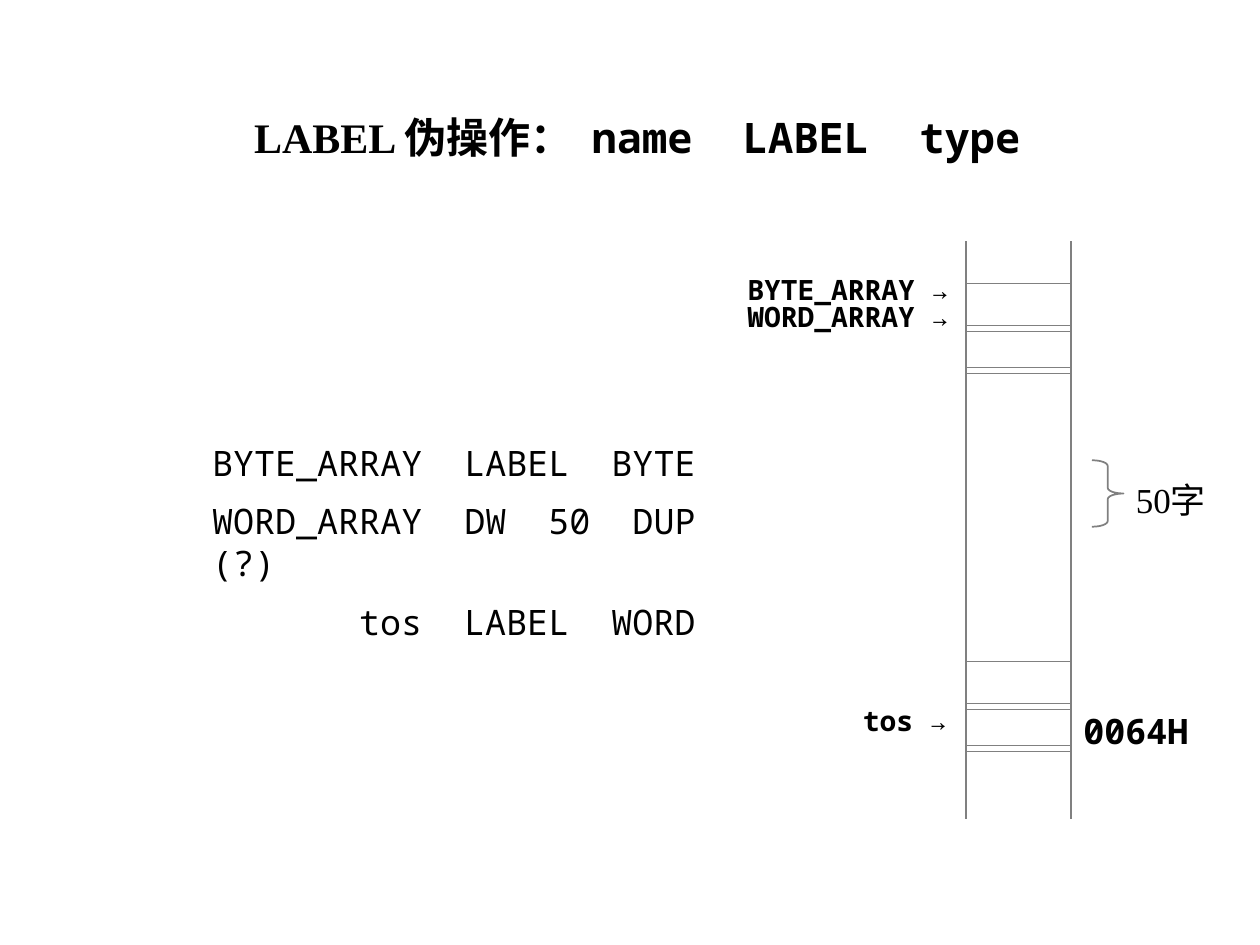
"""Build the slide on the LABEL pseudo-operation and its memory layout."""
from dataclasses import dataclass

from lxml import etree
from pptx import Presentation
from pptx.dml.color import RGBColor
from pptx.enum.shapes import MSO_CONNECTOR, MSO_SHAPE
from pptx.enum.text import MSO_ANCHOR, MSO_AUTO_SIZE, PP_ALIGN
from pptx.oxml.ns import qn
from pptx.util import Pt

BLACK = RGBColor(0x00, 0x00, 0x00)
GRAY = RGBColor(0x80, 0x80, 0x80)
MONO = "Noto Sans Mono"
SERIF = "Times New Roman"
LEFT = PP_ALIGN.LEFT
TOP, MIDDLE = MSO_ANCHOR.TOP, MSO_ANCHOR.MIDDLE
NO_AUTOFIT = MSO_AUTO_SIZE.NONE
RECTANGLE, RIGHT_BRACE = MSO_SHAPE.RECTANGLE, MSO_SHAPE.RIGHT_BRACE
STRAIGHT = MSO_CONNECTOR.STRAIGHT

COLUMN_LEFT, COLUMN_WIDTH = 552, 60
CELL_TOPS = (162, 186, 378, 402)
CELL_HEIGHTS = (24, 27.5)
SIDE_SPANS = ((138, 168), (186, 468))


@dataclass
class Label:
    lines: tuple[str, ...]
    box: tuple[float, float, float, float]
    size: float
    font: str = MONO
    bold: bool = True
    line_spacing: float = 1.0


LABELS = (
    Label(("BYTE_ARRAY →", "WORD_ARRAY →"), (420, 156, 144, 38), 16, line_spacing=0.8),
    Label(("tos →",), (486, 402, 72, 22), 16, line_spacing=0.8),
    Label(("50字",), (642, 270, 66, 31), 20, SERIF, False),
    Label(("0064H",), (612, 402, 78, 31), 20),
)


def place(shape, box) -> None:
    """Move and size a shape, in points."""
    shape.left, shape.top, shape.width, shape.height = map(Pt, box)


def prepare_frame(shape, anchor=TOP):
    """Return the wrapped text frame of a shape."""
    frame = shape.text_frame
    frame.word_wrap = True
    frame.auto_size = NO_AUTOFIT
    frame.vertical_anchor = anchor
    return frame


def add_run(paragraph, text: str, *, size: float, font: str = MONO, bold: bool = False) -> None:
    """Append formatted text to a paragraph."""
    run = paragraph.add_run()
    run.text = text
    run.font.name = font
    run.font.size = Pt(size)
    run.font.bold = bold
    run.font.color.rgb = BLACK


def paragraph_at(frame, index: int):
    """Return the first paragraph, or a new one after it."""
    paragraph = frame.add_paragraph() if index else frame.paragraphs[0]
    paragraph.alignment = LEFT
    return paragraph


def add_title(slide) -> None:
    """Fill the title placeholder."""
    title = slide.shapes.title
    place(title, (138, 60, 468, 36))
    paragraph = paragraph_at(prepare_frame(title), 0)
    add_run(paragraph, "LABEL 伪操作：  ", size=24, font=SERIF, bold=True)
    add_run(paragraph, "name  LABEL  type", size=24, bold=True)


def add_code(slide) -> None:
    """Fill the body placeholder with the listing."""
    body = slide.placeholders[1]
    place(body, (114, 258, 338, 103))
    frame = prepare_frame(body, MIDDLE)
    listing = (
        ("BYTE_ARRAY  LABEL  BYTE", 0),
        ("WORD_ARRAY  DW  50  DUP (?)", 0),
        ("tos  LABEL  WORD", 84),
    )
    for index, (text, margin) in enumerate(listing):
        paragraph = paragraph_at(frame, index)
        paragraph.space_before = Pt(9.5)
        add_run(paragraph, text, size=20)
        properties = paragraph._p.get_or_add_pPr()
        properties.set("marL", str(Pt(margin)))
        properties.set("indent", "0")
        etree.SubElement(properties, qn("a:buNone"))


def add_outline(slide, kind, box):
    """Add an unfilled gray shape."""
    shape = slide.shapes.add_shape(kind, *map(Pt, box))
    shape.shadow.inherit = False
    shape.fill.background()
    shape.line.color.rgb = GRAY
    shape.line.width = Pt(1)
    return shape


def add_side(slide, x: float, top: float, bottom: float) -> None:
    """Add one vertical side of the memory column."""
    line = slide.shapes.add_connector(STRAIGHT, Pt(x), Pt(top), Pt(x), Pt(bottom))
    line.line.color.rgb = GRAY
    line.line.width = Pt(1)
    etree.SubElement(line._element.spPr, qn("a:effectLst"))


def add_memory(slide) -> None:
    """Draw the memory column and its brace."""
    for top in CELL_TOPS:
        for height in CELL_HEIGHTS:
            add_outline(slide, RECTANGLE, (COLUMN_LEFT, top, COLUMN_WIDTH, height))
    for x in (COLUMN_LEFT, COLUMN_LEFT + COLUMN_WIDTH):
        for top, bottom in SIDE_SPANS:
            add_side(slide, x, top, bottom)
    brace = add_outline(slide, RIGHT_BRACE, (624, 263, 18, 38))
    brace.adjustments[0] = 0.18


def add_label(slide, label: Label) -> None:
    """Add a text box beside the memory column."""
    frame = prepare_frame(slide.shapes.add_textbox(*map(Pt, label.box)))
    for index, text in enumerate(label.lines):
        paragraph = paragraph_at(frame, index)
        paragraph.line_spacing = label.line_spacing
        add_run(paragraph, text, size=label.size, font=label.font, bold=label.bold)


def main() -> None:
    """Build and save the presentation."""
    presentation = Presentation()
    presentation.slide_width, presentation.slide_height = Pt(720), Pt(540)
    slide = presentation.slides.add_slide(presentation.slide_layouts[1])
    add_title(slide)
    add_code(slide)
    add_memory(slide)
    for label in LABELS:
        add_label(slide, label)
    presentation.save("out.pptx")


main()
